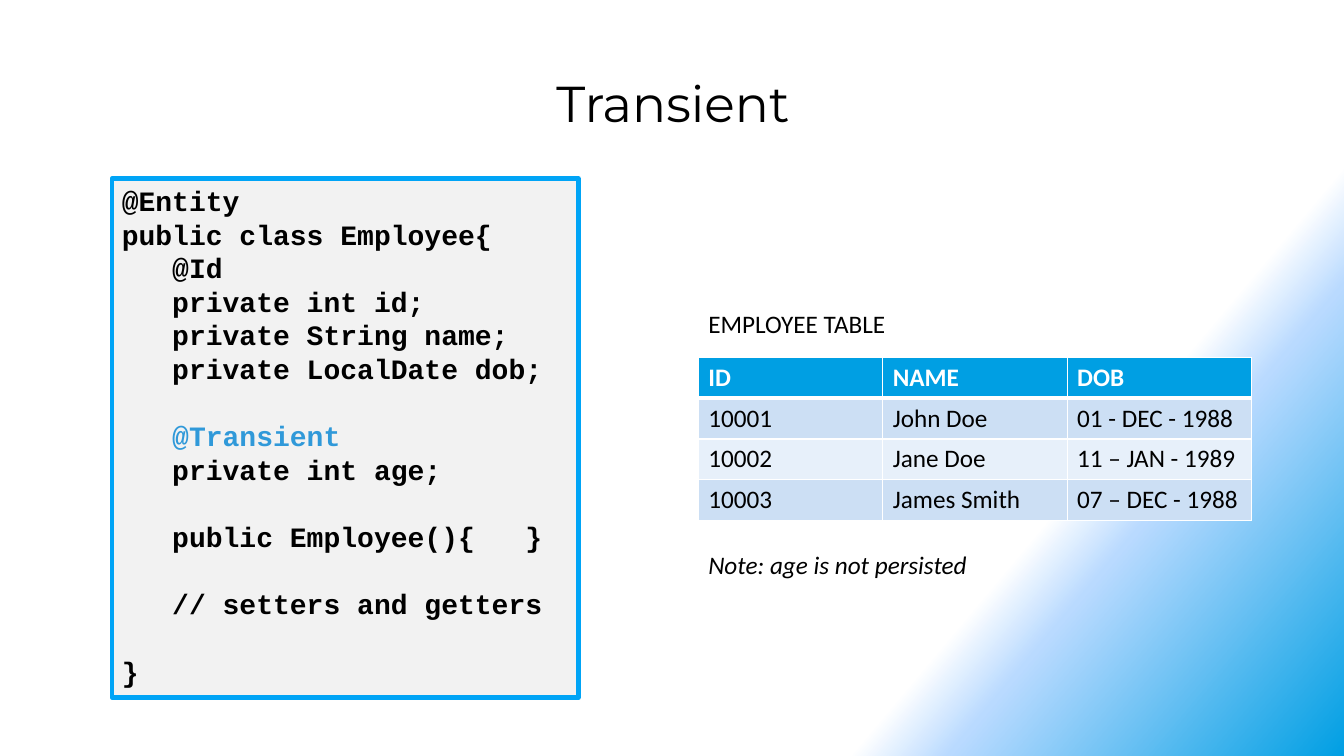
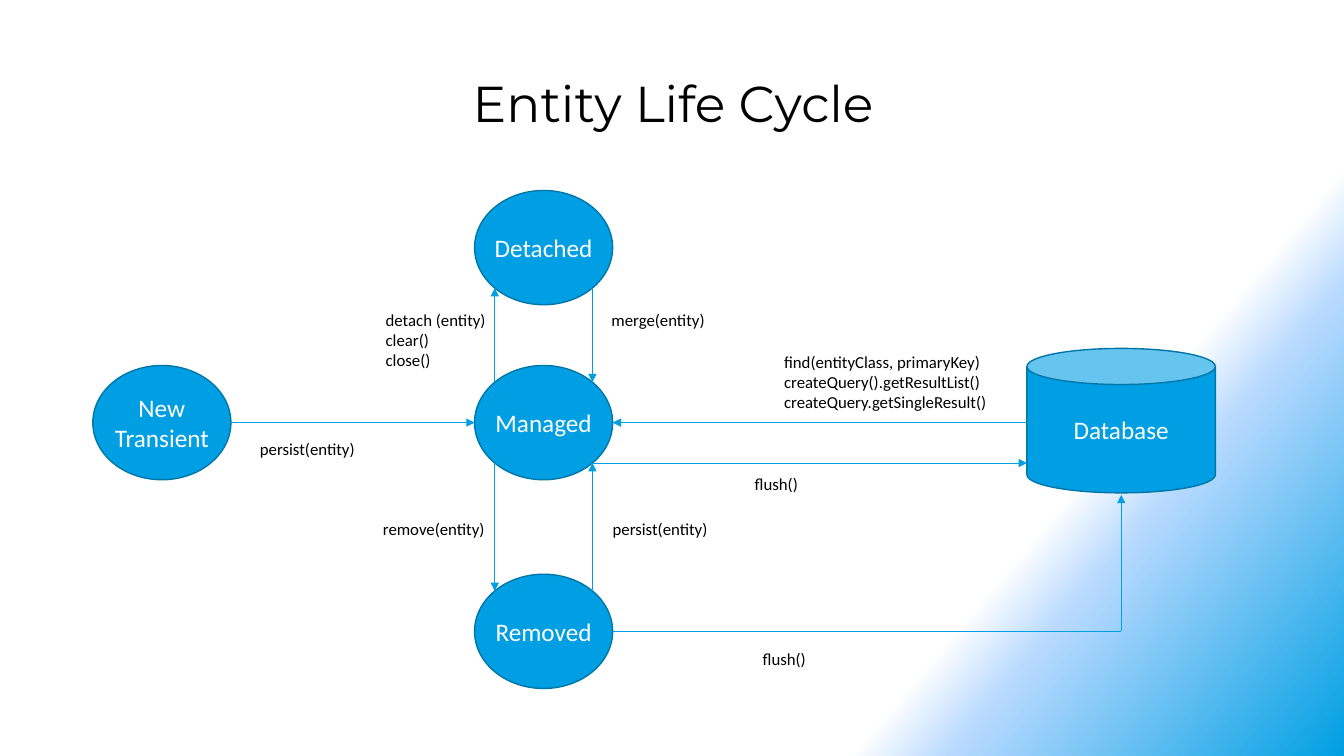
import math

from lxml import etree
from pptx import Presentation
from pptx.dml.color import RGBColor
from pptx.enum import shapes, text
from pptx.oxml import ns
from pptx.util import Cm, Pt

BLUE, DARK_BLUE, CODE_BLUE, ACCENT = "009FE3", "0076A8", "00A4F6", "3099D9"
BLACK, WHITE, GREY, SKY = "000000", "FFFFFF", "F2F2F2", "B9DAFF"
BANDS = ["CCDFF4", "E7F0FA"]
BODY, CODE, HEADING = "Calibri", "Courier New", "Montserrat"

CODE_TEXT = """@Entity
public class Employee{
   @Id
   private int id;
   private String name;
   private LocalDate dob;

   @Transient
   private int age;

   public Employee(){   }

   // setters and getters

}"""

EMPLOYEES = [
    ["ID", "NAME", "DOB"],
    ["10001", "John Doe", "01 - DEC - 1988"],
    ["10002", "Jane Doe", "11 – JAN - 1989"],
    ["10003", "James Smith", "07 – DEC - 1988"],
]


def rgb(value):
    return RGBColor.from_string(value)


def sub(parent, tag, **attrs):
    return etree.SubElement(parent, ns.qn(tag), attrs)


def style(tf, size, color=BLACK, font=BODY, bold=False, italic=False, align=text.PP_ALIGN.LEFT):
    for p in tf.paragraphs:
        p.alignment = align
        for r in p.runs:
            r.font.name = font
            r.font.size = Pt(size)
            r.font.bold = bold
            r.font.italic = italic
            r.font.color.rgb = rgb(color)


def set_background(master):
    fill = master.background.fill
    fill.gradient()
    grad = master.element.find(".//" + ns.qn("a:gradFill"))
    for child in list(grad):
        grad.remove(child)
    stops = sub(grad, "a:gsLst")
    for pos, color in [(75, WHITE), (80, SKY), (100, BLUE)]:
        sub(sub(stops, "a:gs", pos=str(pos * 1000)), "a:srgbClr", val=color)
    sub(grad, "a:lin", ang=str(40 * 60000), scaled="0")


def add_slide(prs, title):
    s = prs.slides.add_slide(prs.slide_layouts.get_by_name("Title Only"))
    sp = s.shapes.title
    sp.left, sp.top, sp.width, sp.height = Cm(1.68), Cm(1.7), Cm(30.56), Cm(3.1)
    tf = sp.text_frame
    tf.text = title
    tf.vertical_anchor = text.MSO_ANCHOR.TOP
    style(tf, 36, font=HEADING, align=text.PP_ALIGN.CENTER)
    return s


def add_box(s, kind, x, y, w, h, fill, line, weight):
    sp = s.shapes.add_shape(kind, Cm(x), Cm(y), Cm(w), Cm(h))
    sp.shadow.inherit = False
    sp.fill.solid()
    sp.fill.fore_color.rgb = rgb(fill)
    sp.line.color.rgb = rgb(line)
    sp.line.width = Pt(weight)
    return sp


def add_label(s, x, y, w, content, size=12, italic=False):
    lines = content.count("\n") + 1
    sp = s.shapes.add_textbox(Cm(x), Cm(y), Cm(w), Cm(0.25 + lines * size * 0.043))
    tf = sp.text_frame
    tf.word_wrap = True
    tf.text = content
    style(tf, size, italic=italic)


def add_code(s, x, y, w, h):
    sp = add_box(s, shapes.MSO_SHAPE.RECTANGLE, x, y, w, h, GREY, CODE_BLUE, 3)
    tf = sp.text_frame
    tf.vertical_anchor = text.MSO_ANCHOR.TOP
    tf.text = CODE_TEXT
    style(tf, 20, font=CODE, bold=True)
    for p in tf.paragraphs:
        p.line_spacing = Pt(24)
        p.font.size = Pt(20)
        if "@Transient" in p.text:
            p.runs[0].font.color.rgb = rgb(ACCENT)


def set_borders(cell, header):
    props = cell._tc.get_or_add_tcPr()
    for i, side in enumerate(["L", "R", "T", "B"]):
        weight = 3 if header and side == "B" else 1
        line = etree.Element(ns.qn("a:ln" + side), w=str(Pt(weight)))
        sub(sub(line, "a:solidFill"), "a:srgbClr", val=WHITE)
        props.insert(i, line)


def add_employees(s, x, y, w):
    add_label(s, x, y, w, "EMPLOYEE TABLE", 18)
    row_h = 1.03
    rows, cols = len(EMPLOYEES), len(EMPLOYEES[0])
    table = s.shapes.add_table(rows, cols, Cm(x), Cm(y + 1.35), Cm(w), Cm(rows * row_h)).table
    table.horz_banding = False
    for i, values in enumerate(EMPLOYEES):
        header = i == 0
        for j, value in enumerate(values):
            cell = table.cell(i, j)
            cell.text = value
            style(cell.text_frame, 18, WHITE if header else BLACK, bold=header)
            cell.fill.solid()
            cell.fill.fore_color.rgb = rgb(BLUE if header else BANDS[(i - 1) % 2])
            set_borders(cell, header)
    add_label(s, x, y + 6.07, w, "Note: age is not persisted", 18, italic=True)


def add_node(s, kind, box, name):
    sp = add_box(s, kind, *box, BLUE, DARK_BLUE, 1)
    tf = sp.text_frame
    tf.margin_left = tf.margin_right = 0
    tf.word_wrap = False
    tf.vertical_anchor = text.MSO_ANCHOR.MIDDLE
    tf.text = name
    style(tf, 18, WHITE, align=text.PP_ALIGN.CENTER)


def rim(box, degrees):
    x, y, w, h = box
    a = math.radians(degrees)
    return x + w / 2 * (1 + math.cos(a)), y + h / 2 * (1 + math.sin(a))


def add_line(s, start, end, arrow=True):
    c = s.shapes.add_connector(shapes.MSO_CONNECTOR.STRAIGHT, *[Cm(v) for v in (*start, *end)])
    c.line.color.rgb = rgb(BLUE)
    c.line.width = Pt(0.5)
    if arrow:
        sub(c.line._get_or_add_ln(), "a:tailEnd", type="triangle")
    sub(c._element.spPr, "a:effectLst")


def add_life_cycle(s, x, y):
    w, h, column = 3.48, 2.88, x + 9.62
    new = (x, y + 4.41, w, h)
    detached = (column, y, w, h)
    managed = (column, y + 4.41, w, h)
    removed = (column, y + 9.67, w, h)
    database = (x + 23.54, y + 3.98, 4.75, 3.64)

    states = {"Detached": detached, "Removed": removed, "New\nTransient": new, "Managed": managed}
    for name, box in states.items():
        add_node(s, shapes.MSO_SHAPE.FLOWCHART_CONNECTOR, box, name)
    add_node(s, shapes.MSO_SHAPE.CAN, database, "Database")

    right, lower_right, lower_left, left, upper_left, upper_right = 0, 45, 135, 180, 225, 315
    for a, a_side, b, b_side in [
        (detached, lower_right, managed, upper_right),
        (managed, lower_left, removed, upper_left),
        (new, right, managed, left),
        (managed, upper_left, detached, lower_left),
        (removed, upper_right, managed, lower_right),
    ]:
        add_line(s, rim(a, a_side), rim(b, b_side))

    db_left, db_top, db_w, db_h = database
    flush, find = rim(managed, lower_right), rim(managed, right)
    add_line(s, flush, (db_left, flush[1]))
    add_line(s, (db_left, find[1]), find)
    exit_point = rim(removed, right)
    corner = (db_left + db_w / 2, exit_point[1])
    add_line(s, exit_point, corner, arrow=False)
    add_line(s, corner, (corner[0], db_top + db_h + 0.05))

    queries = "find(entityClass, primaryKey)\ncreateQuery().getResultList()\ncreateQuery.getSingleResult()"
    for dx, dy, width, content in [
        (12.82, 2.87, 3.78, "merge(entity)"),
        (7.13, 2.87, 3.78, "detach (entity)\nclear()\nclose()"),
        (3.96, 6.12, 3.78, "persist(entity)"),
        (12.85, 8.15, 3.78, "persist(entity)"),
        (7.06, 8.15, 3.78, "remove(entity)"),
        (16.43, 7.01, 3.78, "flush()"),
        (16.63, 11.43, 3.78, "flush()"),
        (17.17, 3.94, 5.84, queries),
    ]:
        add_label(s, x + dx, y + dy, width, content)


def main():
    prs = Presentation()
    prs.slide_width, prs.slide_height = Cm(33.87), Cm(19.05)
    set_background(prs.slide_master)

    s = add_slide(prs, "Transient")
    add_code(s, 2.82, 4.5, 11.76, 13.08)
    add_employees(s, 17.6, 7.65, 13.94)

    s = add_slide(prs, "Entity Life Cycle")
    add_life_cycle(s, 2.34, 4.8)

    prs.save("out.pptx")


if __name__ == "__main__":
    main()
